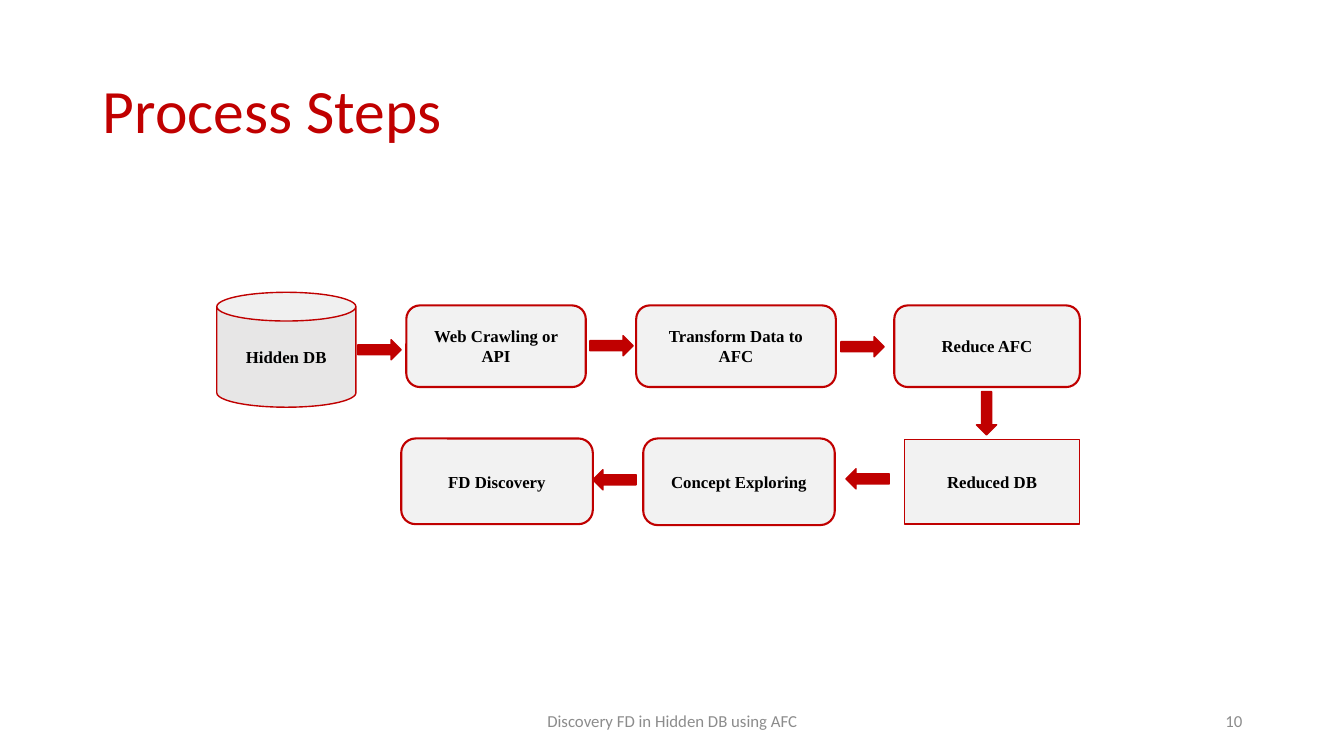
from pptx import Presentation
from pptx.dml.color import RGBColor
from pptx.enum.shapes import MSO_SHAPE
from pptx.enum.text import MSO_ANCHOR, PP_ALIGN
from pptx.util import Inches, Pt

RED = RGBColor(0xC0, 0x00, 0x00)
PALE = RGBColor(0xF2, 0xF2, 0xF2)
SILVER = RGBColor(0xE7, 0xE6, 0xE6)
GREY = RGBColor(0x8C, 0x8C, 0x8C)
BLACK = RGBColor(0, 0, 0)

TITLE = "Process Steps"
ROUND = MSO_SHAPE.ROUNDED_RECTANGLE
# text, preset, fill, line width, (left, top, width, height)
STEPS = [
    ("Hidden DB", MSO_SHAPE.CAN, SILVER, 1, (2.15, 2.9, 1.38, 1.14)),
    ("Web Crawling or API", ROUND, PALE, 1.5, (4.03, 3.03, 1.78, 0.81)),
    ("Transform Data to AFC", ROUND, PALE, 1.5, (6.31, 3.03, 1.98, 0.81)),
    ("Reduce AFC", ROUND, PALE, 1.5, (8.87, 3.03, 1.84, 0.81)),
    ("Reduced DB", MSO_SHAPE.RECTANGLE, PALE, 1, (8.97, 4.36, 1.74, 0.84)),
    ("Concept Exploring", ROUND, PALE, 1.5, (6.38, 4.35, 1.9, 0.86)),
    ("FD Discovery", ROUND, PALE, 1.5, (3.98, 4.35, 1.9, 0.85)),
]
# left, top, rotation: in the order of the flow
ARROWS = [(3.55, 3.37, 0), (5.85, 3.33, 0), (8.34, 3.34, 0),
          (9.57, 4.0, 90), (8.39, 4.65, 180), (5.88, 4.66, 180)]
ARROW_SIZE = (0.43, 0.2)
FOOTERS = [
    ("Discovery FD in Hidden DB using AFC", PP_ALIGN.CENTER, (4.42, 6.95, 4.5, 0.4)),
    ("10", PP_ALIGN.RIGHT, (9.42, 6.95, 3, 0.4)),
]


def inches(box):
    """Turn a tuple of numbers into lengths."""
    return [Inches(value) for value in box]


def write(shape, text, size, font, color, align, bold=False):
    """Fill a shape with one middle-anchored, formatted paragraph."""
    frame = shape.text_frame
    frame.word_wrap = True
    frame.vertical_anchor = MSO_ANCHOR.MIDDLE
    paragraph = frame.paragraphs[0]
    paragraph.alignment = align
    run = paragraph.add_run()
    run.text = text
    run.font.size, run.font.name, run.font.bold = Pt(size), font, bold
    run.font.color.rgb = color
    return paragraph


def add_preset(slide, preset, box, fill, line_width):
    """Add a flat preset shape with a red outline."""
    shape = slide.shapes.add_shape(preset, *inches(box))
    shape.shadow.inherit = False
    shape.fill.solid()
    shape.fill.fore_color.rgb = fill
    shape.line.color.rgb = RED
    shape.line.width = Pt(line_width)
    return shape


prs = Presentation()
prs.slide_width, prs.slide_height = Inches(13.33), Inches(7.5)
slide = prs.slides.add_slide(prs.slide_layouts[5])

title = slide.shapes.title
title.left, title.top, title.width, title.height = inches((0.92, 0.4, 11.5, 1.45))
write(title, TITLE, 44, "Calibri", RED, PP_ALIGN.LEFT).line_spacing = 0.9

for text, preset, fill, line_width, box in STEPS:
    step = add_preset(slide, preset, box, fill, line_width)
    write(step, text, 12, "Times New Roman", BLACK, PP_ALIGN.CENTER, bold=True)

for left, top, rotation in ARROWS:
    arrow = add_preset(slide, MSO_SHAPE.RIGHT_ARROW, (left, top, *ARROW_SIZE), RED, 1)
    arrow.rotation = rotation

for text, align, box in FOOTERS:
    write(slide.shapes.add_textbox(*inches(box)), text, 12, "Calibri", GREY, align)

prs.save("out.pptx")
